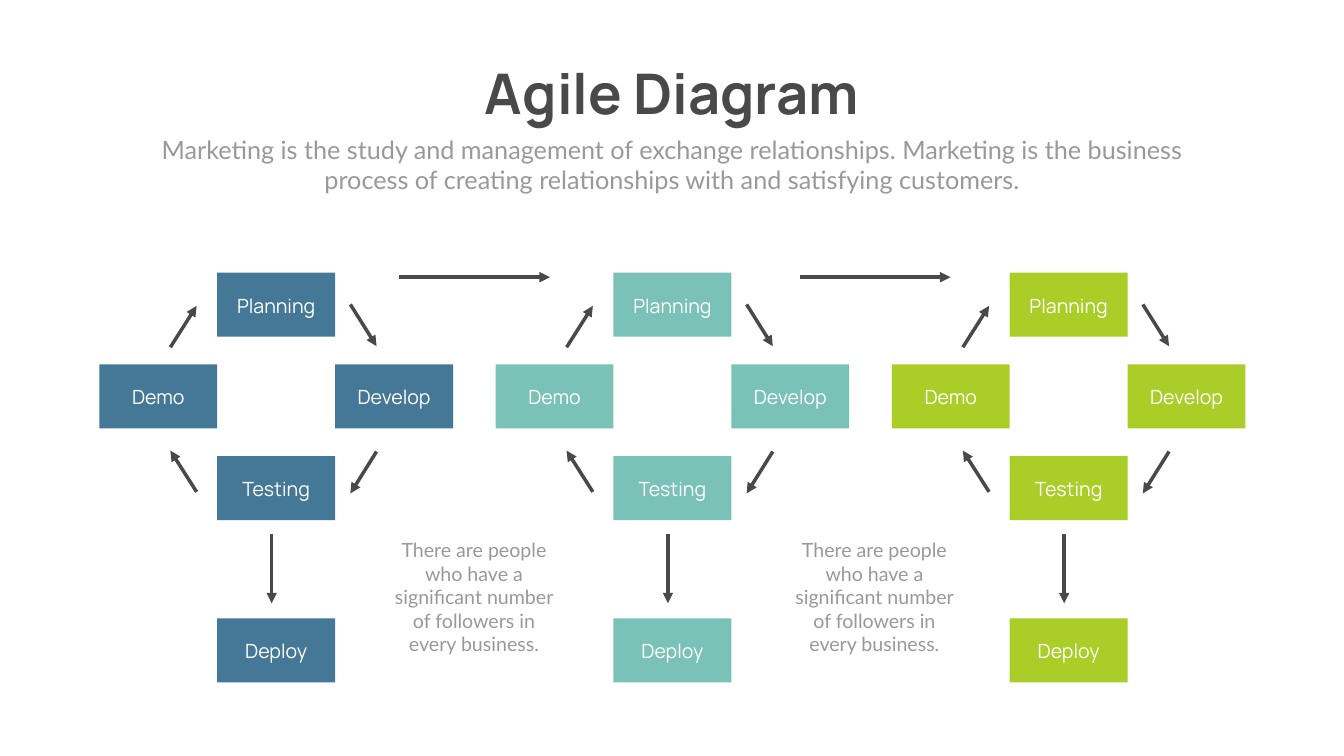
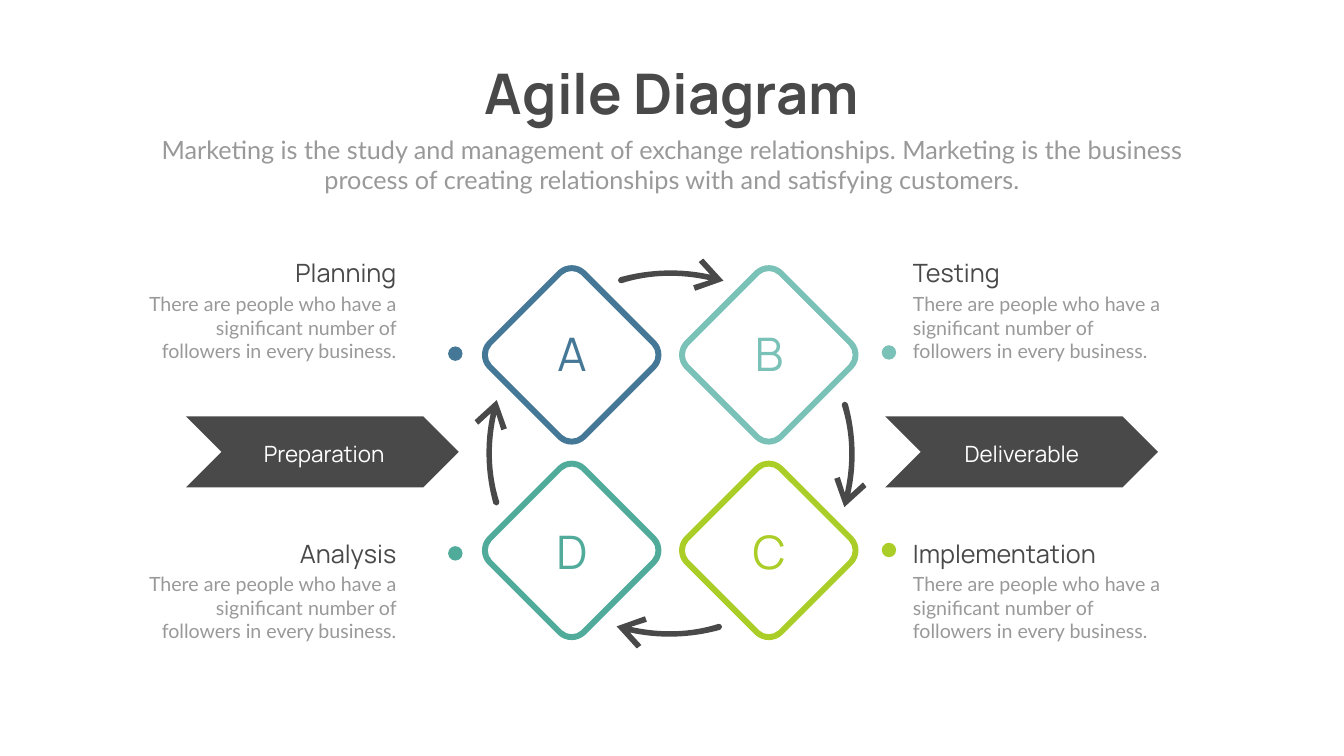
from pptx import Presentation
from pptx.util import Pt
from pptx.dml.color import RGBColor
from pptx.enum.shapes import MSO_SHAPE as Shape, MSO_CONNECTOR as Connector
from pptx.enum.text import MSO_ANCHOR as Anchor, MSO_AUTO_SIZE as AutoSize, PP_ALIGN as Align
from pptx.oxml.ns import qn
from lxml.etree import SubElement

# Shared style
COLORS = {"dark": "494949", "gray": "999999", "white": "FFFFFF", "blue": "457896",
          "mint": "7AC1B7", "lime": "ABCD27", "green": "50AB9B"}
HEAD, BODY = "Manrope", "Lato"
SLIDE_W, SLIDE_H = 1919.52, 1080

# Content: shared texts
TITLE = "Agile Diagram"
SUBTITLE = ("Marketing is the study and management of exchange relationships. "
            "Marketing is the business process of creating relationships with "
            "and satisfying customers.")
NOTE = "There are people who have a significant number of followers in every business."

# Content: three cycles
CYCLE_COLORS = ["blue", "mint", "lime"]
CYCLE_LEFT, CYCLE_STEP = 141.8, 565.92
STEP_W, STEP_H = 168.4, 91.4
STEPS = [  # label, column, top
    ("Planning", 1, 389.5), ("Develop", 2, 520.5), ("Demo", 0, 520.5),
    ("Testing", 1, 651.6), ("Deploy", 1, 883.4)]
CYCLE_ARROWS = [  # from x, y to x, y; x counted from the left of the cycle
    (358.6, 434.9, 396, 494.6), (101.5, 496.1, 139, 437), (139, 702.7, 101.5, 643.7),
    (396, 645.1, 358.6, 704.9), (246.2, 763.2, 246.2, 861.8)]
LINK_STEP = 571.9

# Content: four phases
PHASES = [  # letter, colour, column, row, heading, dot top
    ("A", "blue", 0, 0, "Planning", 494.9), ("B", "mint", 1, 0, "Testing", 493.2),
    ("D", "green", 0, 1, "Analysis", 780.2), ("C", "lime", 1, 1, "Implementation", 775.4)]
DIAMOND_X, DIAMOND_Y = (816.5, 1098), (507, 786.3)
LETTER_Y = (460.2, 743)
DOT_X, DOT = (640, 1259.3), 20.6
TEXT_X, TEXT_Y, TEXT_W = (187.9, 1296.7), (364.3, 764.6), 385.2
BANNERS = [  # label, banner left, label left
    ("Preparation", 265.7, 311.8), ("Deliverable", 1264.3, 1308.2)]

# Outlines: a part of one point is a line, a part of three points is a curve
# Diamond corner: join and control point, for the inner and the outer outline
DIAMOND_CORNERS = [((13.5, 114.5), (6, 121.5)), ((19.5, 120.5), (8.5, 130.7))]
# Curved arrow above the ring centre, then the centre for each quarter turn
ARROW = [
    [(-69.5, -242.9)],
    [(-71.6, -242.9), (-73.8, -243.6), (-74.5, -246.5)],
    [(-74.5, -247.9), (-73.8, -250), (-71.6, -251.5)],
    [(-29.2, -263), (14.8, -264.5), (57.2, -255.1)],
    [(40.7, -273.1)], [(47.2, -278.1)], [(76, -246.5)], [(35.6, -232.1)],
    [(32.8, -240)], [(55.8, -247.2)],
    [(14, -256.5), (-29.2, -255.8), (-69.5, -242.9)]]
ARROW_CENTERS = [(957.2, 647.5), (959.4, 648.5), (956.7, 648.3), (956, 647.5)]


def rgb(name):
    return RGBColor.from_string(COLORS[name])


def paint(shape, color):
    shape.shadow.inherit = False
    shape.fill.solid()
    shape.fill.fore_color.rgb = rgb(color)
    shape.line.fill.background()


def add_block(shapes, kind, left, top, width, height, color):
    paint(shapes.add_shape(kind, Pt(left), Pt(top), Pt(width), Pt(height)), color)


def add_text(shapes, text, left, top, width, height, size, font, color,
             align=Align.CENTER, bold=False, wrap=True, spacing=None):
    box = shapes.add_textbox(Pt(left), Pt(top), Pt(width), Pt(height))
    frame = box.text_frame
    frame.word_wrap = wrap
    frame.auto_size = AutoSize.SHAPE_TO_FIT_TEXT
    frame.vertical_anchor = Anchor.MIDDLE
    frame.text = text
    para = frame.paragraphs[0]
    para.alignment = align
    span = para.runs[0]
    span.font.size, span.font.name, span.font.bold = Pt(size), font, bold
    span.font.color.rgb = rgb(color)
    if spacing:
        span.font._element.set("spc", str(spacing * 100))


def add_arrow(shapes, x1, y1, x2, y2):
    arrow = shapes.add_connector(Connector.STRAIGHT, Pt(x1), Pt(y1), Pt(x2), Pt(y2))
    arrow.line.color.rgb = rgb("dark")
    arrow.line.width = Pt(5)
    SubElement(arrow.line._get_or_add_ln(), qn("a:tailEnd"), type="triangle")
    SubElement(arrow._element.spPr, qn("a:effectLst"))


def turn(parts, quarters):
    for _ in range(quarters):
        parts = [[(-y, x) for x, y in part] for part in parts]
    return parts


def add_outline(shapes, contours, x, y, color):
    """Draw the contours through all their points, then bend the curved parts."""
    builder = None
    for parts in contours:
        points = [(Pt(x + dx), Pt(y + dy)) for part in parts for dx, dy in part]
        if builder is None:
            builder = shapes.build_freeform(*points[0])
        else:
            builder.move_to(*points[0])
        builder.add_line_segments(points[1:], close=True)
    shape = builder.convert_to_shape()
    outline = next(shape._element.iter(qn("a:path")))
    nodes = [node for node in outline if node.tag != qn("a:close")]
    for part in (part for parts in contours for part in parts):
        used, nodes = nodes[:len(part)], nodes[len(part):]
        if len(part) == 3:
            curve = SubElement(outline, qn("a:cubicBezTo"))
            used[0].addprevious(curve)
            for node in used:
                curve.append(node[0])
                outline.remove(node)
    paint(shape, color)


def diamond_contour(join, control):
    (jx, jy), (cx, cy) = join, control
    corner = [[(-jx, -jy)], [(-cx, -cy), (cx, -cy), (jx, -jy)]]
    return [part for quarters in range(4) for part in turn(corner, quarters)]


def add_page(deck):
    page = deck.slides.add_slide(deck.slide_layouts[6])
    page.background.fill.solid()
    page.background.fill.fore_color.rgb = rgb("white")
    add_text(page.shapes, TITLE, 654.5, 80, 611.3, 104.4, 80, HEAD, "dark",
             bold=True, wrap=False)
    add_text(page.shapes, SUBTITLE, 210.2, 187.9, 1499, 94.3, 36, BODY, "gray")
    return page.shapes


def build_cycles(deck):
    shapes = add_page(deck)
    for number, color in enumerate(CYCLE_COLORS):
        left = CYCLE_LEFT + number * CYCLE_STEP
        cycle = shapes.add_group_shape().shapes
        for _, column, top in STEPS:
            add_block(cycle, Shape.RECTANGLE, left + column * STEP_W, top,
                      STEP_W, STEP_H, color)
        for x1, y1, x2, y2 in CYCLE_ARROWS:
            add_arrow(cycle, left + x1, y1, left + x2, y2)
        for label, column, top in STEPS:
            add_text(cycle, label, left + column * STEP_W, top + 26.2, STEP_W, 41,
                     28, HEAD, "white")
    # Links and notes between neighbouring cycles
    shifts = [number * LINK_STEP for number in range(len(CYCLE_COLORS) - 1)]
    for shift in shifts:
        add_arrow(shapes, 570.2 + shift, 396, 785.5 + shift, 396)
    for shift in shifts:
        add_text(shapes, NOTE, 548 + shift, 763.9, 257.8, 177.1, 28, BODY, "gray")


def build_phases(deck):
    shapes = add_page(deck)
    for _, color, column, _, _, dot_top in PHASES:
        add_block(shapes, Shape.OVAL, DOT_X[column], dot_top, DOT, DOT, color)

    # Curved arrows, each a quarter turn on
    for quarters, (x, y) in enumerate(ARROW_CENTERS):
        add_outline(shapes, [turn(ARROW, quarters)], x, y, "dark")

    # Diamonds with letters
    diamond = [diamond_contour(*corner) for corner in DIAMOND_CORNERS]
    for _, color, column, row, _, _ in PHASES:
        add_outline(shapes, diamond, DIAMOND_X[column], DIAMOND_Y[row], color)
    for letter, color, column, row, _, _ in PHASES:
        add_text(shapes, letter, DIAMOND_X[column] - 48.5, LETTER_Y[row], 97.9, 87.1,
                 66, HEAD, color, spacing=6)

    # Headings and notes beside the diamonds
    for _, _, column, row, heading, _ in PHASES:
        align = Align.LEFT if column else Align.RIGHT
        left, top = TEXT_X[column], TEXT_Y[row]
        add_text(shapes, heading, left, top, TEXT_W, 51.1, 36, HEAD, "dark", align)
        add_text(shapes, NOTE, left, top + 49, TEXT_W, 108.7, 28, BODY, "gray", align)

    # Banners left and right of the ring
    for label, left, label_left in BANNERS:
        add_block(shapes, Shape.CHEVRON, left, 594.7, 389.5, 101.5, "dark")
        add_text(shapes, label, label_left, 625, 302.4, 46.1, 32, HEAD, "white")


def main():
    deck = Presentation()
    deck.slide_width, deck.slide_height = Pt(SLIDE_W), Pt(SLIDE_H)
    build_cycles(deck)
    build_phases(deck)
    deck.save("out.pptx")


if __name__ == "__main__":
    main()
